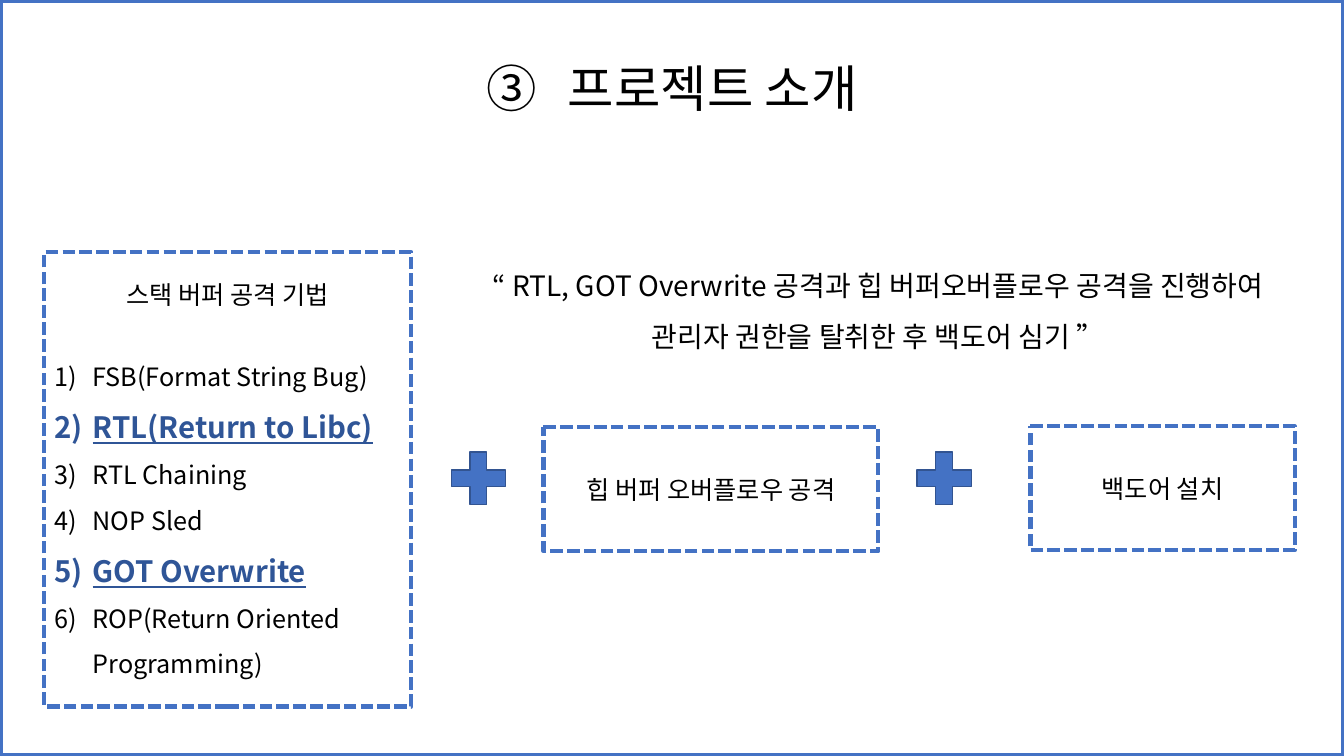
import pptx
import pptx.util
import pptx.dml.color
import pptx.enum.dml
import pptx.enum.shapes
import pptx.enum.text
import pptx.oxml.ns
from lxml import etree

Inches, Pt = pptx.util.Inches, pptx.util.Pt
SHAPE = pptx.enum.shapes.MSO_SHAPE
ALIGN = pptx.enum.text.PP_ALIGN
ANCHOR = pptx.enum.text.MSO_ANCHOR
qn = pptx.oxml.ns.qn
FONT = "Noto Sans CJK KR"
BLUE, DARK_BLUE, EDGE_BLUE = "4472C4", "2F5597", "325491"

prs = pptx.Presentation()
prs.slide_width, prs.slide_height = Inches(13.33), Inches(7.5)
s = prs.slides.add_slide(prs.slide_layouts[6])


def add_text(tf, text, size=18, color="000000", bold=False, align=ALIGN.CENTER,
             spacing=None, after=0, number=None, start=1, indent=0):
    """Write into the empty first paragraph, or else into a new one."""
    p = tf.paragraphs[0] if not tf.text else tf.add_paragraph()
    p.alignment, p.line_spacing, p.space_after = align, spacing, Pt(after)
    if number:
        pPr = p._p.get_or_add_pPr()
        pPr.set("marL", str(Inches(indent)))
        pPr.set("indent", str(-Inches(indent)))
        bullet = etree.SubElement(pPr, qn("a:buAutoNum"), type=number)
        if start > 1:
            bullet.set("startAt", str(start))
    r = p.add_run()
    r.text = text
    r.font.name, r.font.size = FONT, Pt(size)
    r.font.bold = r.font.underline = bold
    r.font.color.rgb = pptx.dml.color.RGBColor.from_string(color)
    etree.SubElement(r._r.get_or_add_rPr(), qn("a:ea"), typeface=FONT)


def add_box(kind, x, y, w, h, fill=None, line=BLUE, width=3.0, dashed=False):
    sp = s.shapes.add_shape(kind, Inches(x), Inches(y), Inches(w), Inches(h))
    sp.shadow.inherit = False
    if fill:
        sp.fill.solid()
        sp.fill.fore_color.rgb = pptx.dml.color.RGBColor.from_string(fill)
    else:
        sp.fill.background()
    sp.line.color.rgb = pptx.dml.color.RGBColor.from_string(line)
    sp.line.width = Pt(width)
    if dashed:
        sp.line.dash_style = pptx.enum.dml.MSO_LINE.SQUARE_DOT
    sp.text_frame.word_wrap = True
    sp.text_frame.vertical_anchor = ANCHOR.MIDDLE
    return sp


# Slide border
add_box(SHAPE.RECTANGLE, 0, 0, 13.33, 7.5, width=4.5)

# Title
tf = s.shapes.add_textbox(Inches(3.75), Inches(0.52), Inches(5.83), Inches(0.71)).text_frame
tf.word_wrap = True
add_text(tf, "프로젝트 소개", size=36, number="circleNumDbPlain", start=3, indent=0.81)

# Stack buffer attack techniques, with the ones in use highlighted
tf = add_box(SHAPE.RECTANGLE, 0.44, 2.5, 3.64, 4.51, fill="FFFFFF", dashed=True).text_frame
add_text(tf, "스택 버퍼 공격 기법", after=26)
techniques = [
    ("FSB(Format String Bug)", False),
    ("RTL(Return to Libc)", True),
    ("RTL Chaining", False),
    ("NOP Sled", False),
    ("GOT Overwrite", True),
    ("ROP(Return Oriented Programming)", False),
]
for name, used in techniques:
    add_text(tf, name, size=21 if used else 18, color=DARK_BLUE if used else "000000",
             bold=used, align=ALIGN.LEFT, spacing=1.5, number="arabicParenR", indent=0.38)

# Following steps, each after a plus sign
steps = [
    ("힙 버퍼 오버플로우 공격", 4.38, 5.39, 4.24, 3.32),
    ("백도어 설치", 9, 10.22, 4.23, 2.62),
]
for name, plus_x, x, y, w in steps:
    add_box(SHAPE.MATH_PLUS, plus_x, 4.39, 0.73, 0.71, fill=BLUE, line=EDGE_BLUE, width=1)
    sp = add_box(SHAPE.ROUNDED_RECTANGLE, x, y, w, 1.23, fill="FFFFFF", dashed=True)
    sp.adjustments[0] = 0
    add_text(sp.text_frame, name)

# Project goal
tf = s.shapes.add_textbox(Inches(4.51), Inches(2.45), Inches(8.4), Inches(1.07)).text_frame
tf.word_wrap = True
for line in ("“ RTL, GOT Overwrite 공격과 힙 버퍼오버플로우 공격을 진행하여",
             "관리자 권한을 탈취한 후 백도어 심기 ”"):
    add_text(tf, line, size=20, spacing=1.5)

prs.save("out.pptx")
